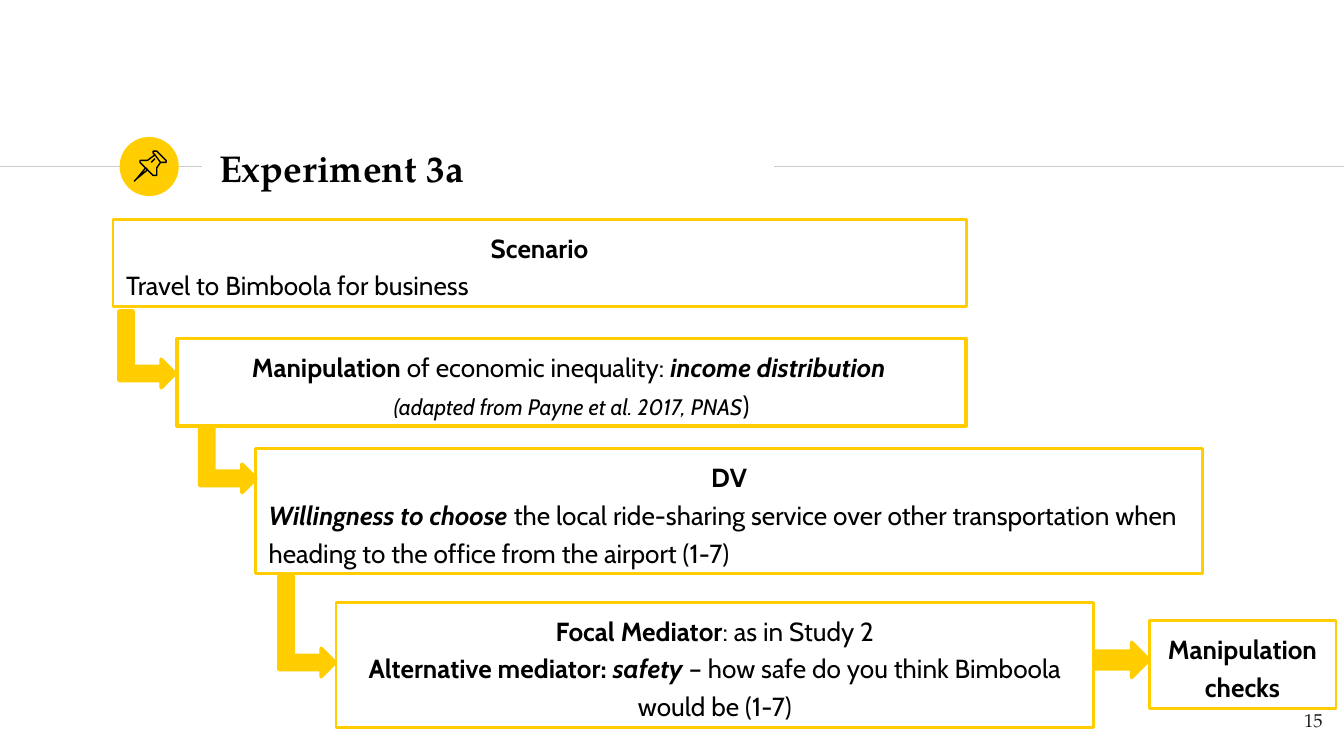
from lxml import etree
from pptx import Presentation
from pptx.dml.color import RGBColor
from pptx.enum.shapes import MSO_CONNECTOR, MSO_SHAPE
from pptx.enum.text import MSO_ANCHOR, PP_ALIGN
from pptx.oxml.ns import qn
from pptx.util import Pt

LEFT, CENTER, RIGHT = PP_ALIGN.LEFT, PP_ALIGN.CENTER, PP_ALIGN.RIGHT
TOP, MIDDLE = MSO_ANCHOR.TOP, MSO_ANCHOR.MIDDLE
RECTANGLE, OVAL = MSO_SHAPE.RECTANGLE, MSO_SHAPE.OVAL
BENT_ARROW, RIGHT_ARROW = MSO_SHAPE.BENT_UP_ARROW, MSO_SHAPE.RIGHT_ARROW
STRAIGHT = MSO_CONNECTOR.STRAIGHT
YELLOW = RGBColor(0xFF, 0xCD, 0x00)
GRAY = RGBColor(0xCC, 0xCC, 0xCC)
BLACK = RGBColor(0, 0, 0)
DARK = RGBColor(0x1D, 0x1D, 0x1B)
WHITE = RGBColor(0xFF, 0xFF, 0xFF)
SERIF, SANS = "TeX Gyre Pagella", "Cabin"
BODY_SIZE, NOTE_SIZE = 14, 12

# (left, top, width, height), fill, line width, [(alignment, [(text, style, size)])]
BOXES = [
    ((95, 181.4, 422.6, 46.8), WHITE, 2, [
        (CENTER, [("Manipulation ", "b", BODY_SIZE),
                  ("of economic inequality: ", "", BODY_SIZE),
                  ("income distribution ", "bi", BODY_SIZE)]),
        (CENTER, [("(adapted from Payne et al. 2017, PNAS", "i", NOTE_SIZE),
                  (")", "", BODY_SIZE)])]),
    ((180, 322.6, 406, 67), None, 1.5, [
        (CENTER, [("Focal Mediator", "b", BODY_SIZE),
                  (": as in Study 2", "", BODY_SIZE)]),
        (CENTER, [("Alternative mediator: ", "b", BODY_SIZE),
                  ("safety ", "bi", BODY_SIZE),
                  ("– how safe do you think Bimboola would be (1-7)", "", BODY_SIZE)])]),
    ((60.5, 117.4, 457.2, 46.8), None, 1.5, [
        (CENTER, [("Scenario", "b", BODY_SIZE)]),
        (LEFT, [("Travel to Bimboola for business", "", BODY_SIZE)])]),
    ((136.8, 240.5, 507.6, 67), None, 1.5, [
        (CENTER, [("DV", "b", BODY_SIZE)]),
        (LEFT, [("Willingness to choose ", "bi", BODY_SIZE),
                ("the local ride-sharing service over other transportation when "
                 "heading to the office from the airport (1-7)", "", BODY_SIZE)])]),
    ((615.6, 332.6, 100.1, 46.8), None, 1.5, [
        (CENTER, [("Manipulation checks", "b", BODY_SIZE)])]),
]
ARROWS = [
    (BENT_ARROW, (58.3, 172.1, 41, 30.2), 90),
    (BENT_ARROW, (104.4, 231.1, 35.3, 30.2), 90),
    (BENT_ARROW, (137.5, 320.4, 54, 30.2), 90),
    (RIGHT_ARROW, (586.1, 344.2, 29.5, 18.7), 0),
]
RULE_TOP = 89.3
RULES = [(0, 108), (414.7, 720)]
BADGE = (64.1, 73.4, 31.7, 31.7)
PIN_PARTS = [
    ([(77.8, 90), (72.7, 96.5), (72, 97.2), (73.4, 96.5), (79.2, 91.4)], True),
    ([(82.8, 82.8), (86.4, 87.1), (88.6, 87.1), (89.3, 86.4), (89.3, 85.7),
      (83.5, 80.6), (82.8, 80.6), (82.1, 81.4), (82.1, 82.1)], True),
    ([(82.8, 82.8), (79.2, 85.7), (77.8, 85.7), (76.3, 85.7), (74.9, 86.4),
      (74.9, 87.1), (82.1, 94.3), (82.8, 94.3), (83.5, 93.6), (83.5, 92.2),
      (83.5, 90), (86.4, 87.1)], False),
    ([(80.6, 87.1), (82.8, 85)], False),
]


def paint(shape, fill, line, width=1):
    shape.shadow.inherit = False
    if fill is None:
        shape.fill.background()
    else:
        shape.fill.solid()
        shape.fill.fore_color.rgb = fill
    if line is None:
        shape.line.fill.background()
    else:
        shape.line.color.rgb = line
        shape.line.width = Pt(width)


def add_shape(slide, kind, frame, fill, line, width=1):
    shape = slide.shapes.add_shape(kind, *map(Pt, frame))
    paint(shape, fill, line, width)
    return shape


def add_run(paragraph, text, font_name, size, color, style=""):
    run = paragraph.add_run()
    run.text = text
    run.font.name = font_name
    run.font.size = Pt(size)
    run.font.color.rgb = color
    run.font.bold = "b" in style
    run.font.italic = "i" in style


def set_frame(text_frame, anchor, inset):
    text_frame.word_wrap = True
    text_frame.vertical_anchor = anchor
    text_frame.margin_left = text_frame.margin_right = Pt(7.2)
    text_frame.margin_top = text_frame.margin_bottom = Pt(inset)


def add_rules(slide):
    for start, end in RULES:
        rule = slide.shapes.add_connector(
            STRAIGHT, Pt(start), Pt(RULE_TOP), Pt(end), Pt(RULE_TOP))
        rule.line.color.rgb = GRAY
        rule.line.width = Pt(0.75)
        etree.SubElement(rule.element.spPr, qn("a:effectLst"))


def add_pin(slide):
    add_shape(slide, OVAL, BADGE, YELLOW, None)
    pin = slide.shapes.add_group_shape()
    for points, closed in PIN_PARTS:
        builder = pin.shapes.build_freeform(*points[0], scale=Pt(1))
        builder.add_line_segments(points[1:], close=closed)
        paint(builder.convert_to_shape(), None, BLACK, 0.75)


def add_title(slide):
    title = slide.shapes.title
    title.left, title.top, title.width, title.height = map(Pt, (110.2, 64.8, 421.9, 50.4))
    set_frame(title.text_frame, MIDDLE, 7.2)
    paragraph = title.text_frame.paragraphs[0]
    paragraph.alignment = LEFT
    add_run(paragraph, "Experiment 3a", SERIF, 20, BLACK, "b")


def add_box(slide, frame, fill, line_width, content):
    text_frame = add_shape(slide, RECTANGLE, frame, fill, YELLOW, line_width).text_frame
    set_frame(text_frame, TOP, 3.6)
    for index, (alignment, runs) in enumerate(content):
        paragraph = text_frame.add_paragraph() if index else text_frame.paragraphs[0]
        paragraph.alignment = alignment
        paragraph.line_spacing = 1.2
        for text, style, size in runs:
            add_run(paragraph, text, SANS, size, BLACK, style)


def add_page_number(slide):
    text_frame = slide.shapes.add_textbox(*map(Pt, (672.5, 373.7, 43.2, 31))).text_frame
    set_frame(text_frame, TOP, 7.2)
    paragraph = text_frame.paragraphs[0]
    paragraph.alignment = RIGHT
    add_run(paragraph, "15", SERIF, 10, DARK)


def main():
    presentation = Presentation()
    presentation.slide_width, presentation.slide_height = Pt(720), Pt(405)
    slide = presentation.slides.add_slide(presentation.slide_layouts[5])
    add_rules(slide)
    add_pin(slide)
    add_title(slide)
    for box in BOXES:
        add_box(slide, *box)
    for kind, frame, rotation in ARROWS:
        add_shape(slide, kind, frame, YELLOW, YELLOW, 2).rotation = rotation
    add_page_number(slide)
    presentation.save("out.pptx")


if __name__ == "__main__":
    main()
